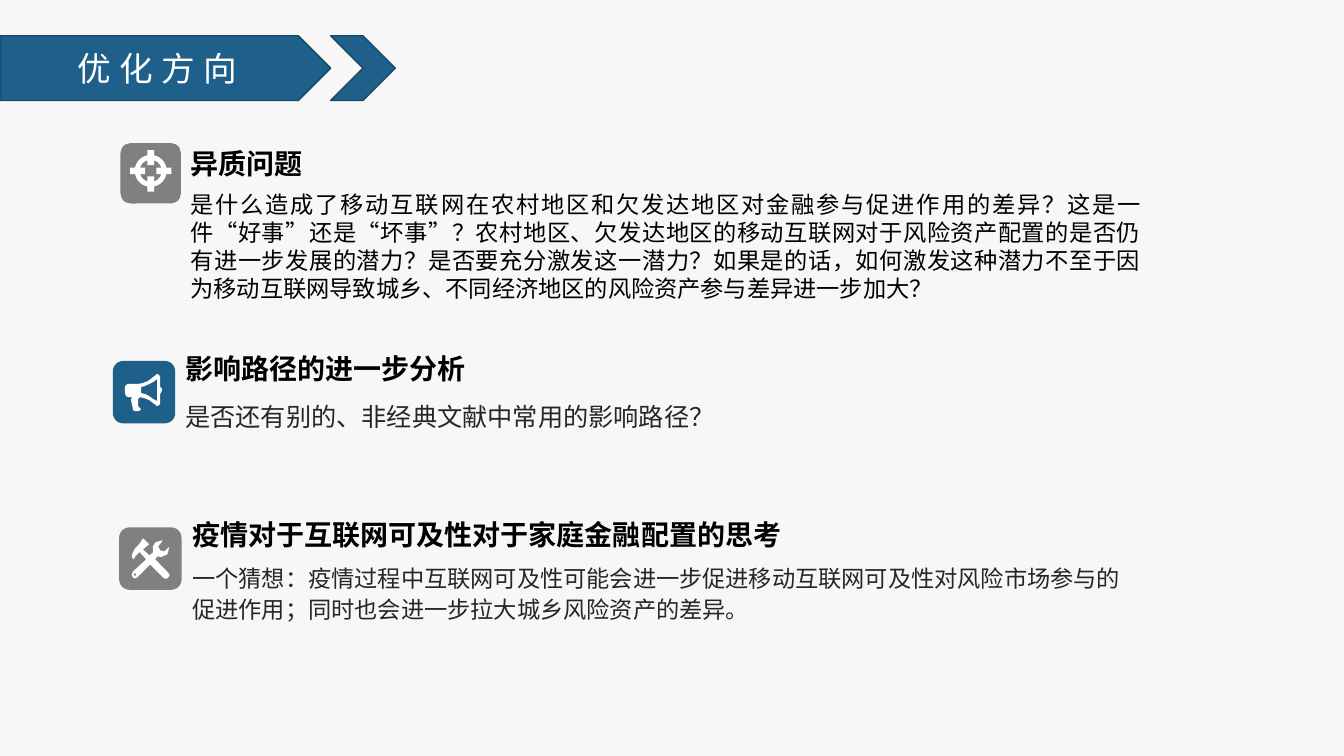
"""Build the slide on directions for further improvement."""
import math

from pptx import Presentation
from pptx import util as u
from pptx.dml import color
from pptx.enum import lang, shapes, text
from pptx.oxml import ns

COLORS = {
    "back": "F7F7F7", "blue": "1F608B", "edge": "174767", "gray": "808080",
    "white": "FFFFFF", "black": "000000", "dark": "262626",
}
EAST_ASIAN = "Noto Sans CJK SC"
HEADING = {"size": u.Pt(20), "bold": True, "name": "Arial"}
BANNER = {"size": u.Pt(24), "name": "Arial"}

MEGAPHONE = [
    [(26.6, 11.5), (25.9, 13), (25.2, 14.4), (25.2, 20.9), (24.5, 22.3),
     (23, 23), (20.2, 20.9), (17.3, 18.7), (13.7, 17.3), (10.8, 16.6),
     (9.4, 18), (9.4, 23), (11.5, 25.2), (10.1, 26.6), (7.2, 26.6),
     (5.8, 25.9), (5, 21.6), (4.3, 18.7), (5, 16.6), (2.2, 16.6),
     (0.7, 15.8), (0, 13.7), (0, 9.4), (0.7, 7.9), (2.2, 7.2), (9.4, 7.2),
     (13, 6.5), (16.6, 5), (20.2, 2.2), (23, 0), (24.5, 0.7), (25.2, 2.9),
     (25.2, 9.4), (26.3, 10.2)],
    [(23, 3.6), (20.2, 5.8), (14.4, 8.6), (11.5, 9.4), (11.5, 13.7),
     (14.4, 14.4), (17.3, 15.8), (20.2, 18), (23, 19.4)],
]
TOOLS = [
    [(26.6, 24.5), (17.3, 15.1), (18.7, 13), (21.6, 13.3), (25.9, 11.5),
     (27.4, 6.5), (26.8, 6.5), (23.8, 9.4), (20.9, 8.6), (19.4, 5.8),
     (22.3, 2.2), (22.3, 1.4), (17.3, 3), (15.6, 6), (15.8, 10.1),
     (13, 12.2), (8.6, 7.9), (13, 4.3), (8.6, 0), (5.8, 4.3), (2.9, 7.2),
     (0.7, 11.5), (0.7, 13.7), (2.2, 15.1), (2.9, 13), (5.8, 10.1),
     (6.5, 10.1), (10.8, 15.1), (1.4, 23.8), (0.4, 26), (1.4, 28.1),
     (3, 28.8), (5, 27.4), (13.7, 18.7), (23, 28.1), (25, 29),
     (26.6, 28.1), (27.6, 26.4)],
    [(2.9, 24.7), (4.1, 25.9), (2.9, 27.1), (1.7, 25.9)],
]


def notched_ring(center, radius, tip, half, steps=8):
    """Return a circle outline with a square tick on each axis."""
    gap = math.asin(half / radius)
    points = []
    for quarter in range(4):
        turn = quarter * math.pi / 2
        local = [(tip, -half), (tip, half)]
        for i in range(steps + 1):
            angle = gap + (math.pi / 2 - 2 * gap) * i / steps
            local.append((radius * math.cos(angle), radius * math.sin(angle)))
        cos, sin = math.cos(turn), math.sin(turn)
        points += [(center + x * cos - y * sin, center + x * sin + y * cos)
                   for x, y in local]
    return points


CROSSHAIR = [notched_ring(14.8, 11.4, 14.8, 2.4),
             notched_ring(14.8, 7.9, 4, 2.4)]

SECTIONS = [
    {"tile": (80.6, 257.8, 44.6), "tile_color": "blue",
     "icon": MEGAPHONE, "icon_at": (89.3, 267.1),
     "heading": "影响路径的进一步分析", "heading_at": (125.3, 245.5, 303, 33),
     "body": "是否还有别的、非经典文献中常用的影响路径？",
     "body_at": (125.3, 278.6, 744.5, 61.2), "body_color": "dark",
     "font": {"size": u.Pt(18), "name": "Arial"},
     "para": {"line_spacing": 1.2}},
    {"tile": (86.1, 102.2, 43.2), "tile_color": "gray",
     "icon": CROSSHAIR, "icon_at": (92.9, 107.3),
     "heading": "异质问题", "heading_at": (129, 100.1, 303, 32.4),
     "body": "是什么造成了移动互联网在农村地区和欠发达地区对金融参与促进作用的差异？"
             "这是一件“好事”还是“坏事”？农村地区、欠发达地区的移动互联网对于"
             "风险资产配置的是否仍有进一步发展的潜力？是否要充分激发这一潜力？"
             "如果是的话，如何激发这种潜力不至于因为移动互联网导致城乡、"
             "不同经济地区的风险资产参与差异进一步加大？",
     "body_at": (129, 132.5, 692.6, 95), "body_color": "black",
     "font": {"size": u.Pt(16.6), "name": EAST_ASIAN},
     "para": {"alignment": text.PP_ALIGN.JUSTIFY}},
    {"tile": (85.1, 376.7, 44.6), "tile_color": "gray",
     "icon": TOOLS, "icon_at": (93.6, 384.5),
     "heading": "疫情对于互联网可及性对于家庭金融配置的思考",
     "heading_at": (130.3, 373.7, 446.4, 23.8),
     "body": "一个猜想：疫情过程中互联网可及性可能会进一步促进移动互联网可及性对"
             "风险市场参与的促进作用；同时也会进一步拉大城乡风险资产的差异。",
     "body_at": (130.3, 397.4, 690.5, 51.1), "body_color": "dark",
     "font": {"size": u.Pt(16.6), "name": "Arial"},
     "para": {"line_spacing": 1.1}},
]


def rgb(name):
    """Return the named colour."""
    return color.RGBColor.from_string(COLORS[name])


def apply(target, values):
    """Set every attribute in values on target."""
    for key, value in values.items():
        setattr(target, key, value)


def paint(sp, fill, line=None):
    """Give a shape a plain fill and an optional outline."""
    sp.shadow.inherit = False
    sp.fill.solid()
    sp.fill.fore_color.rgb = rgb(fill)
    if line:
        sp.line.color.rgb = rgb(line)
        sp.line.width = u.Pt(1)
    else:
        sp.line.fill.background()


def write(sp, words, font, ink, anchor, para):
    """Write one paragraph into a shape and return its run."""
    tf = sp.text_frame
    apply(tf, {"word_wrap": True, "vertical_anchor": anchor})
    p = tf.paragraphs[0]
    apply(p, para)
    r = p.add_run()
    r.text = words
    apply(r.font, font)
    r.font.language_id = lang.MSO_LANGUAGE_ID.SIMPLIFIED_CHINESE
    r.font.color.rgb = rgb(ink)
    latin = r.font._element.find(ns.qn("a:latin"))
    ea = latin.makeelement(ns.qn("a:ea"), {"typeface": EAST_ASIAN})
    latin.addnext(ea)
    return r


def add_preset(group, kind, box, fill, line=None):
    """Add a painted preset shape to a group."""
    sp = group.shapes.add_shape(kind, *map(u.Pt, box))
    paint(sp, fill, line)
    return sp


def add_icon(group, contours, origin):
    """Add a white outline icon made of closed contours."""
    builder = None
    for contour in contours:
        points = [(u.Pt(x), u.Pt(y)) for x, y in contour]
        if builder is None:
            builder = group.shapes.build_freeform(*points[0], scale=1.0)
        else:
            builder.move_to(*points[0])
        builder.add_line_segments(points[1:], close=True)
    paint(builder.convert_to_shape(*map(u.Pt, origin)), "white")


def add_section(s, item):
    """Add a tile with its icon, heading and body text."""
    group = s.shapes.add_group_shape()
    left, top, side = item["tile"]
    add_preset(group, shapes.MSO_SHAPE.ROUNDED_RECTANGLE,
               (left, top, side, side), item["tile_color"])
    add_icon(group, item["icon"], item["icon_at"])
    heading = group.shapes.add_textbox(*map(u.Pt, item["heading_at"]))
    write(heading, item["heading"], HEADING, "black",
          text.MSO_ANCHOR.BOTTOM, {})
    body = group.shapes.add_textbox(*map(u.Pt, item["body_at"]))
    write(body, item["body"], item["font"], item["body_color"],
          text.MSO_ANCHOR.TOP, item["para"])


def add_banner(s, words):
    """Add the title arrow and the chevron after it."""
    group = s.shapes.add_group_shape()
    width, top, height = 236.2, 25.6, 46.2
    sp = add_preset(group, shapes.MSO_SHAPE.PENTAGON,
                    (0, top, width, height), "blue", "edge")
    r = write(sp, words, BANNER, "white", text.MSO_ANCHOR.MIDDLE,
              {"alignment": text.PP_ALIGN.CENTER})
    r.font._element.set("spc", "600")
    add_preset(group, shapes.MSO_SHAPE.CHEVRON,
               (width, top, height, height), "blue", "edge")


def main():
    """Build and save the slide."""
    prs = Presentation()
    apply(prs, {"slide_width": u.Pt(960), "slide_height": u.Pt(540)})
    s = prs.slides.add_slide(prs.slide_layouts[6])
    s.background.fill.solid()
    s.background.fill.fore_color.rgb = rgb("back")
    for item in SECTIONS:
        add_section(s, item)
    add_banner(s, "优化方向")
    prs.save("out.pptx")


if __name__ == "__main__":
    main()
